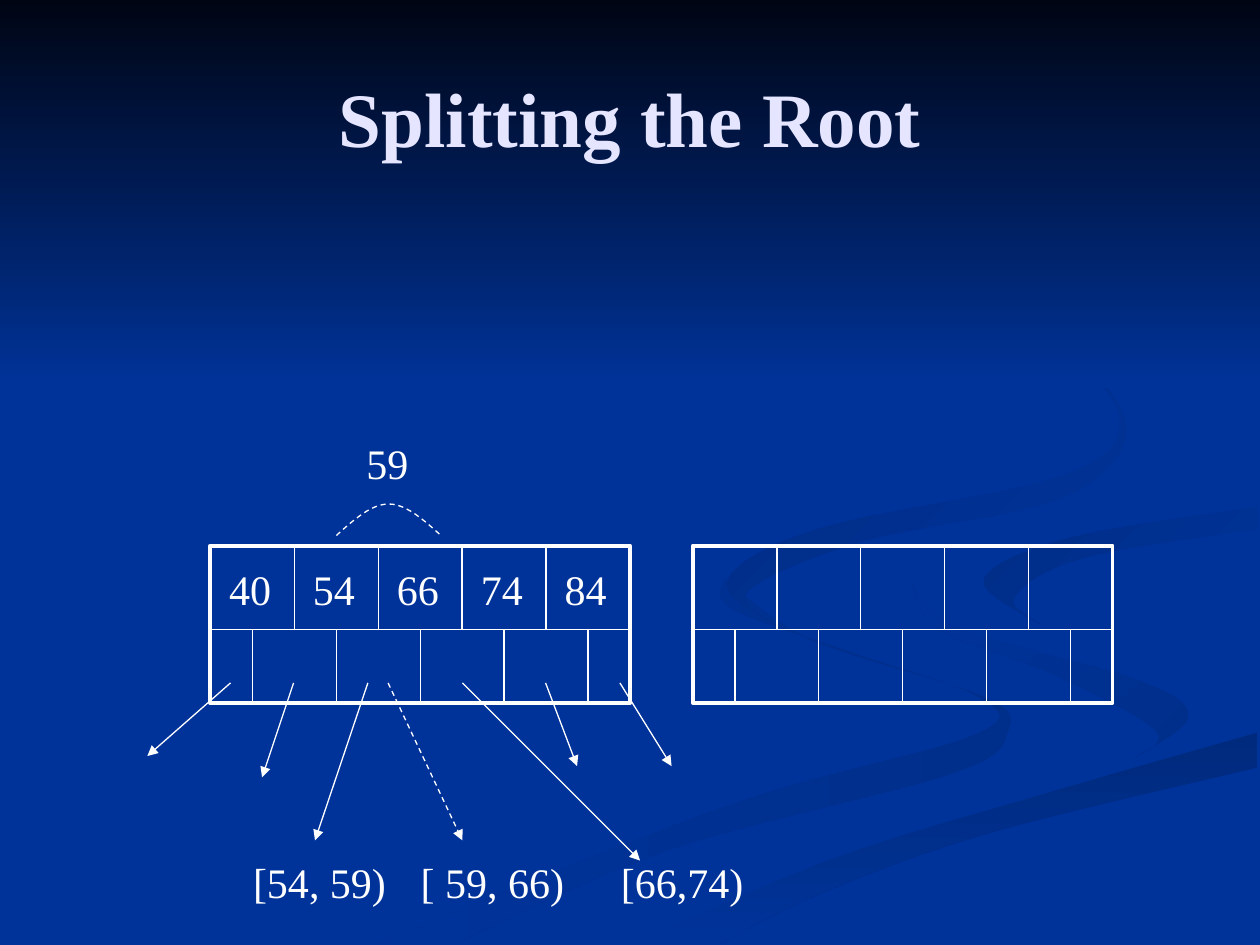
import pptx
import pptx.dml.color
import pptx.enum.dml
import pptx.enum.shapes
import pptx.enum.text
import pptx.oxml.ns
import pptx.util
from lxml import etree

Inches = pptx.util.Inches
FONT = "Times New Roman"
COLORS = {
    "background": "003399",
    "night": "000514",
    "shade": "002E8B",
    "deep": "002A7D",
    "hook": "002D86",
    "swirl": "002B82",
    "white": "FFFFFF",
    "title": "E5E5FF",
}
RIBBONS = [
    ("shade", "background", 180, [
        [(5.75, 4.59), (5.81, 4.83), (6.79, 5.19), (7.76, 5.53), (7.74, 5.83), (5.79, 6.39), (3, 7.49)],
        [(3.61, 7.49), (5.32, 6.74), (7.56, 6.14), (8, 5.81), (7.81, 5.53), (6.42, 5.07), (5.75, 4.59)]]),
    ("shade", "background", 225, [
        [(7.24, 4.64), (7.58, 4.98), (9.05, 5.4), (9.43, 5.7), (8.94, 6.05)],
        [(8.94, 6.05), (9.18, 5.81), (8.38, 5.36), (7.46, 5), (7.24, 4.64)]]),
    ("deep", "background", 90, [
        [(5.03, 7.49), (6.62, 6.81), (8.31, 6.29), (9.98, 5.81)],
        [(9.98, 6.09), (7.85, 6.61), (6.49, 7.1), (5.71, 7.49)]]),
    ("background", "background", 0, [
        [(7.25, 4.64), (7.59, 4.98), (9.05, 5.4), (9.43, 5.7), (8.92, 6.05), (6.63, 6.68), (4.77, 7.49)],
        [(5.03, 7.49), (6.62, 6.81), (8.32, 6.29), (9.99, 5.81)],
        [(9.99, 5.38), (8.48, 5.03), (7.81, 4.63), (8.5, 4.27), (9.99, 4.02)],
        [(9.99, 3.87), (8.08, 4.17), (7.25, 4.64)]]),
    ("background", "hook", 225, [
        [(9.98, 4.02), (8.49, 4.27), (7.81, 4.6), (8.26, 4.96)],
        [(8.26, 4.96), (8.05, 4.74), (8.59, 4.43), (9.98, 4.2)]]),
    ("background", "swirl", 225, [
        [(7.62, 2.33), (8.46, 2.79), (8.89, 3.35), (8.42, 3.78), (6.49, 4.2), (5.77, 4.62), (6.22, 5)],
        [(6.22, 5), (5.93, 4.7), (6.83, 4.3), (8.41, 3.96), (8.94, 3.44), (8.54, 2.83), (7.62, 2.33)]]),
    ("night", "background", 90, [[(0, 0), (10, 0)], [(10, 3.08), (0, 3.08)]]),
]


def rgb(name):
    return pptx.dml.color.RGBColor.from_string(COLORS[name])


def smooth_edge(knots, steps=8):
    padded = [knots[0]] + knots + [knots[-1]]
    points = []
    for a, b, c, d in zip(padded, padded[1:], padded[2:], padded[3:]):
        for step in range(steps):
            t = step / steps
            points.append(tuple(
                q + t * (r - p + t * (2 * p - 5 * q + 4 * r - s + t * (3 * q - p - 3 * r + s))) / 2
                for p, q, r, s in zip(a, b, c, d)))
    return points + [knots[-1]]


def style_line(line, width=0.75, dashed=False):
    line.color.rgb = rgb("white")
    line.width = pptx.util.Pt(width)
    if dashed:
        line.dash_style = pptx.enum.dml.MSO_LINE.DASH


def add_outline(slide, points, close):
    points = [(Inches(x), Inches(y)) for x, y in points]
    builder = slide.shapes.build_freeform(*points[0])
    builder.add_line_segments(points[1:], close=close)
    shape = builder.convert_to_shape()
    shape.shadow.inherit = False
    return shape


def add_line(slide, start, end, dashed=False, arrow=False):
    connector = slide.shapes.add_connector(
        pptx.enum.shapes.MSO_CONNECTOR.STRAIGHT, *map(Inches, start + end))
    style_line(connector.line, dashed=dashed)
    properties = connector._element.spPr
    etree.SubElement(properties, pptx.oxml.ns.qn("a:effectLst"))
    if arrow:
        outline = properties.find(pptx.oxml.ns.qn("a:ln"))
        etree.SubElement(outline, pptx.oxml.ns.qn("a:tailEnd"), type="triangle")


def add_text(slide, text, left, top, width, height=0.5, size=24, color="white", bold=False):
    box = slide.shapes.add_textbox(*map(Inches, (left, top, width, height)))
    text_frame = box.text_frame
    text_frame.word_wrap = False
    text_frame.text = text
    font = text_frame.paragraphs[0].runs[0].font
    font.name, font.size, font.bold = FONT, pptx.util.Pt(size), bold
    font.color.rgb = rgb(color)
    return text_frame


def add_backdrop(slide):
    fill = slide.background.fill
    fill.solid()
    fill.fore_color.rgb = rgb("background")
    for first, last, angle, edges in RIBBONS:
        points = [point for edge in edges for point in smooth_edge(edge)]
        shape = add_outline(slide, points, True)
        shape.line.fill.background()
        if first == last:
            shape.fill.solid()
            shape.fill.fore_color.rgb = rgb(first)
            continue
        shape.fill.gradient()
        shape.fill.gradient_angle = 360 - angle
        for stop, color in zip(shape.fill.gradient_stops, (first, last)):
            stop.color.rgb = rgb(color)


def add_title(slide, left, top, width, height):
    text_frame = add_text(slide, "Splitting the Root", left, top, width, height, 44, "title", True)
    text_frame.word_wrap = True
    text_frame.vertical_anchor = pptx.enum.text.MSO_ANCHOR.MIDDLE
    text_frame.paragraphs[0].alignment = pptx.enum.text.PP_ALIGN.CENTER


def add_node(slide, left, top, width, height, keys=()):
    cell = width / 5
    middle, bottom = top + cell, top + height
    frame = slide.shapes.add_shape(
        pptx.enum.shapes.MSO_SHAPE.RECTANGLE, *map(Inches, (left, top, width, height)))
    frame.shadow.inherit = False
    frame.fill.background()
    style_line(frame.line, 2.25)
    add_line(slide, (left, middle), (left + width, middle))
    for index in range(1, 5):
        x = left + index * cell
        add_line(slide, (x, top), (x, middle))
    for index in range(5):
        x = left + (index + 0.5) * cell
        add_line(slide, (x, middle), (x, bottom))
    for index, key in enumerate(keys):
        add_text(slide, key, left + index * cell + 0.05, top + 0.09, 0.57)


def add_new_key(slide, left, top, width, height):
    steps = 24
    points = []
    for step in range(steps + 1):
        t = step / steps
        rise = abs(2 * t - 1)
        points.append((left + width * t, top + height * (1.5 * rise ** 2 - 0.5 * rise ** 3)))
    arc = add_outline(slide, points, False)
    arc.fill.background()
    style_line(arc.line, dashed=True)
    add_text(slide, "59", left + 0.14, top - 0.58, 0.57)


def add_pointers(slide, left, top):
    pointers = [
        (0.16, -0.5, 0.58, False), (0.66, 0.41, 0.75, False), (1.25, 0.83, 1.25, False),
        (1.41, 2, 1.25, True), (2, 3.41, 1.41, False), (2.66, 2.91, 0.66, False),
        (3.25, 3.66, 0.66, False)]
    for start, end, drop, dashed in pointers:
        add_line(slide, (left + start, top), (left + end, top + drop), dashed, True)
    for text, offset, width in [("[54, 59)", 0.24, 1.35), ("[ 59, 66)", 1.57, 1.44), ("[66,74)", 3.16, 1.26)]:
        add_text(slide, text, left + offset, top + 1.33, width)


def main():
    presentation = pptx.Presentation()
    presentation.slide_width, presentation.slide_height = Inches(10), Inches(7.5)
    slide = presentation.slides.add_slide(presentation.slide_layouts[6])
    add_backdrop(slide)
    add_title(slide, 0.5, 0.3, 9, 1.25)
    add_node(slide, 5.5, 4.33, 3.33, 1.25)
    add_node(slide, 1.67, 4.33, 3.33, 1.25, ("40", "54", "66", "74", "84"))
    add_new_key(slide, 2.67, 4, 0.83, 0.25)
    add_pointers(slide, 1.67, 5.42)
    presentation.save("out.pptx")


if __name__ == "__main__":
    main()
